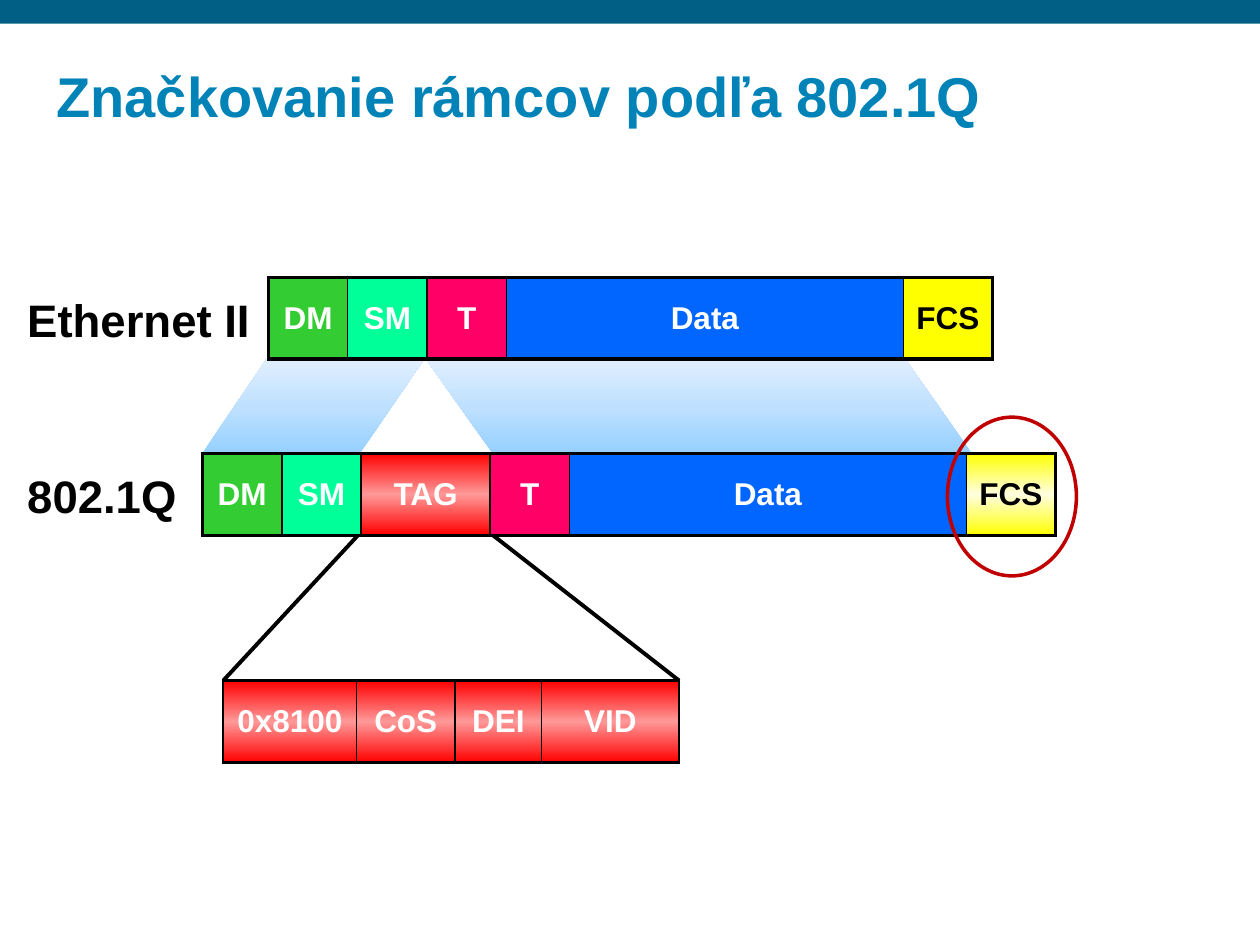
from copy import deepcopy
from dataclasses import dataclass

from lxml import etree
from pptx import Presentation
from pptx.dml.color import RGBColor
from pptx.enum import shapes, text
from pptx.oxml.ns import qn
from pptx.util import Cm, Pt


@dataclass(frozen=True)
class Theme:
    font: str = "Arial"
    title_size: float = 32
    label_size: float = 26
    field_size: float = 18
    thin: float = 1
    ring_line: float = 2
    thick: float = 2.25
    band: str = "015F85"
    title: str = "0183B7"
    black: str = "000000"
    white: str = "FFFFFF"
    ring: str = "C00000"
    green: str = "33CC33"
    mint: str = "00FF99"
    pink: str = "FF0066"
    blue: str = "0066FF"
    yellow: str = "FFFF00"
    red_glow: tuple = ("FF0000", "FF9898", "FF0000")
    yellow_glow: tuple = ("FFFF00", "FFFFE0", "FFFF00")
    sky: tuple = ("96D0FF", "BFE1FF", "E0EFFF")


THEME = Theme()


@dataclass(frozen=True)
class Field:
    name: str
    width: float
    fill: str | tuple
    ink: str = THEME.white


@dataclass(frozen=True)
class Frame:
    left: float
    top: float
    fields: tuple
    outer: float  # weight of the left and right outer borders


@dataclass(frozen=True)
class Label:
    words: str
    left: float
    top: float
    width: float
    height: float
    size: float
    ink: str
    wrap: bool = False
    anchor: text.MSO_ANCHOR = text.MSO_ANCHOR.TOP
    spacing: float = 1.0


@dataclass(frozen=True)
class Projection:
    left: float
    width: float
    slant: float
    flipped: bool


# Frame layouts, lengths in cm
ROW = 1.65
DM = Field("DM", 1.6, THEME.green)
SM = Field("SM", 1.6, THEME.mint)
TAG = Field("TAG", 2.6, THEME.red_glow)
TYPE = Field("T", 1.6, THEME.pink)
DATA = Field("Data", 8, THEME.blue)
FCS = Field("FCS", 1.8, THEME.yellow, THEME.black)
NEW_FCS = Field("FCS", 1.8, THEME.yellow_glow, THEME.black)

ETHERNET = Frame(5.41, 5.59, (DM, SM, TYPE, DATA, FCS), THEME.thick)
TAGGED = Frame(4.08, 9.14, (DM, SM, TAG, TYPE, DATA, NEW_FCS), THEME.thick)
TAG_PARTS = Frame(4.5, 13.72, (
    Field("0x8100", 2.69, THEME.red_glow),
    Field("CoS", 1.98, THEME.red_glow),
    Field("DEI", 1.75, THEME.red_glow),
    Field("VID", 2.77, THEME.red_glow),
), THEME.thin)

TITLE = Label("Značkovanie rámcov podľa 802.1Q", 0.89, 0.84, 23.6, 1.9,
              THEME.title_size, THEME.title, True, text.MSO_ANCHOR.BOTTOM, 0.9)
LABELS = (
    Label("Ethernet II", 0.3, 5.77, 5.05, 1.37, THEME.label_size, THEME.black),
    Label("802.1Q", 0.3, 9.32, 3.56, 1.37, THEME.label_size, THEME.black),
)
PROJECTIONS = (
    Projection(8.59, 11, 0.706, True),
    Projection(4.08, 4.47, 0.682, False),
)


def rgb(colour: str) -> RGBColor:
    return RGBColor.from_string(colour)


def paint(fill, owner, colour: str | tuple, angle: float = 270) -> None:
    """Fill with one colour, or with a gradient of three."""
    if isinstance(colour, str):
        fill.solid()
        fill.fore_color.rgb = rgb(colour)
        return
    fill.gradient()
    fill.gradient_angle = angle
    stops = next(owner.iter(qn("a:gsLst")))
    stops.append(deepcopy(stops[0]))
    for stop, position, shade in zip(fill.gradient_stops, (0, 0.5, 1), colour):
        stop.position = position
        stop.color.rgb = rgb(shade)


def add_span(para, words: str, size: float, ink: str) -> None:
    span = para.add_run()
    span.text = words
    span.font.name = THEME.font
    span.font.size = Pt(size)
    span.font.bold = True
    span.font.color.rgb = rgb(ink)


def add_shape(page, kind, left: float, top: float, width: float, height: float):
    shape = page.shapes.add_shape(kind, Cm(left), Cm(top), Cm(width), Cm(height))
    shape.shadow.inherit = False
    shape.line.fill.background()
    return shape


def add_label(page, label: Label) -> None:
    box = page.shapes.add_textbox(Cm(label.left), Cm(label.top),
                                  Cm(label.width), Cm(label.height))
    body = box.text_frame
    body.word_wrap = label.wrap
    body.vertical_anchor = label.anchor
    para = body.paragraphs[0]
    para.line_spacing = label.spacing
    add_span(para, label.words, label.size, label.ink)


def add_borders(cell, weights: dict[str, float]) -> None:
    properties = cell._tc.get_or_add_tcPr()
    for index, (side, weight) in enumerate(weights.items()):
        line = etree.Element(qn(f"a:{side}"), w=str(Pt(weight)))
        solid = etree.SubElement(line, qn("a:solidFill"))
        etree.SubElement(solid, qn("a:srgbClr"), val=THEME.black)
        properties.insert(index, line)


def add_frame(page, frame: Frame) -> None:
    count = len(frame.fields)
    width = sum(field.width for field in frame.fields)
    table = page.shapes.add_table(1, count, Cm(frame.left), Cm(frame.top),
                                  Cm(width), Cm(ROW)).table
    table.first_row = table.horz_banding = False
    table.rows[0].height = Cm(ROW)
    for index, field in enumerate(frame.fields):
        table.columns[index].width = Cm(field.width)
        cell = table.cell(0, index)
        cell.vertical_anchor = text.MSO_ANCHOR.MIDDLE
        cell.margin_left = cell.margin_right = Cm(0.1)
        para = cell.text_frame.paragraphs[0]
        para.alignment = text.PP_ALIGN.CENTER
        add_span(para, field.name, THEME.field_size, field.ink)
        paint(cell.fill, cell._tc, field.fill)
        add_borders(cell, {
            "lnL": frame.outer if index == 0 else THEME.thin,
            "lnR": frame.outer if index == count - 1 else THEME.thin,
            "lnT": THEME.thick,
            "lnB": THEME.thick,
        })


def add_projection(page, projection: Projection) -> None:
    top = ETHERNET.top + ROW
    shape = add_shape(page, shapes.MSO_SHAPE.PARALLELOGRAM, projection.left, top,
                      projection.width, TAGGED.top - top)
    shape.adjustments[0] = projection.slant
    if projection.flipped:
        shape._element.spPr.find(qn("a:xfrm")).set("flipV", "1")
    paint(shape.fill, shape._element, THEME.sky, 270 if projection.flipped else 90)


def add_line(page, start: tuple[float, float], end: tuple[float, float]) -> None:
    line = page.shapes.add_connector(shapes.MSO_CONNECTOR.STRAIGHT,
                                     *map(Cm, start), *map(Cm, end))
    line.line.color.rgb = rgb(THEME.black)
    line.line.width = Pt(THEME.thick)
    etree.SubElement(line._element.spPr, qn("a:effectLst"))


def main() -> None:
    deck = Presentation()
    deck.slide_width, deck.slide_height = Cm(25.4), Cm(19.05)
    page = deck.slides.add_slide(deck.slide_layouts[6])

    # Top band and title
    band = add_shape(page, shapes.MSO_SHAPE.RECTANGLE, 0, 0, 25.4, 0.48)
    paint(band.fill, band._element, THEME.band)
    add_label(page, TITLE)

    # Lines that open the tag into its parts
    tag_left = TAGGED.left + DM.width + SM.width
    parts_right = TAG_PARTS.left + sum(part.width for part in TAG_PARTS.fields)
    tag_bottom = TAGGED.top + ROW - 0.1
    add_line(page, (parts_right, TAG_PARTS.top), (tag_left + TAG.width - 0.07, tag_bottom))
    add_line(page, (TAG_PARTS.left, TAG_PARTS.top), (tag_left + 0.03, tag_bottom))

    # Frames with their projections and labels
    for projection in PROJECTIONS:
        add_projection(page, projection)
    for frame in (ETHERNET, TAGGED, TAG_PARTS):
        add_frame(page, frame)
    for label in LABELS:
        add_label(page, label)

    # Ring around the recomputed checksum
    ring = add_shape(page, shapes.MSO_SHAPE.OVAL, 19.1, 8.41, 2.6, 3.2)
    ring.fill.background()
    ring.line.color.rgb = rgb(THEME.ring)
    ring.line.width = Pt(THEME.ring_line)

    deck.save("out.pptx")


if __name__ == "__main__":
    main()
